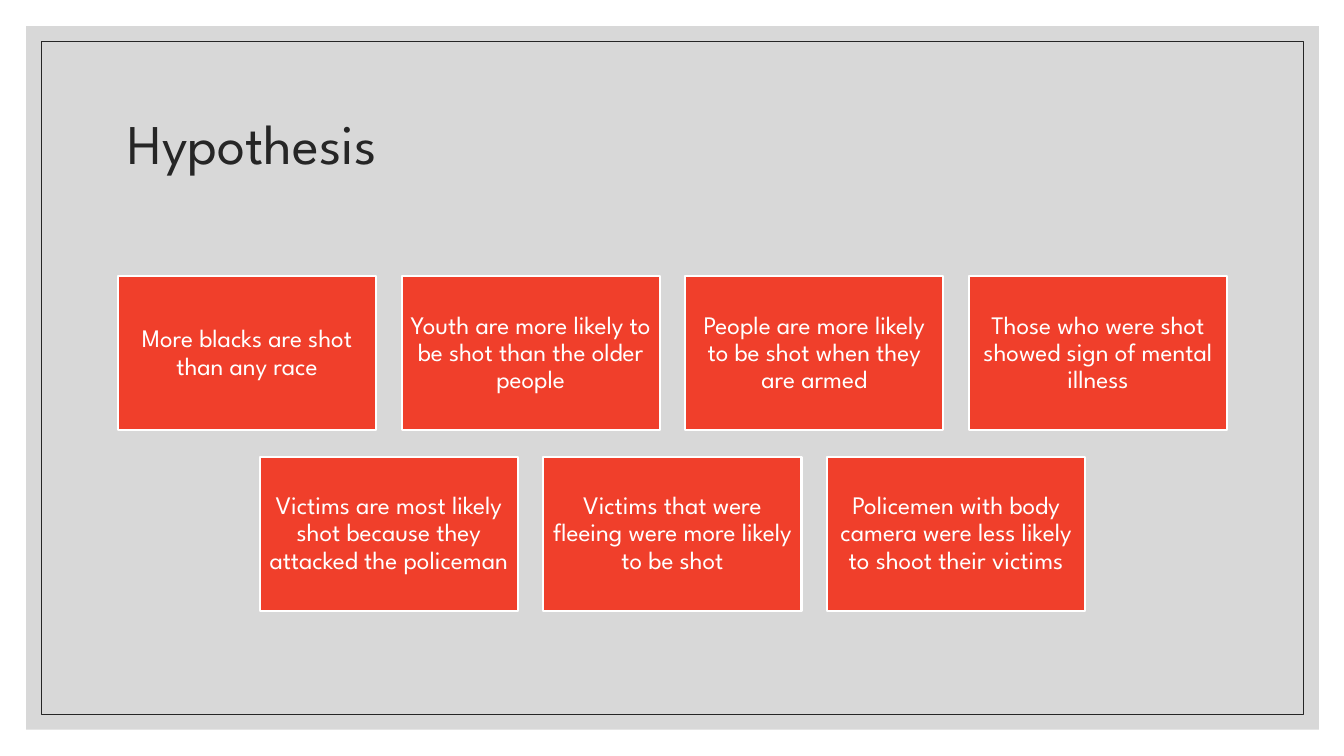
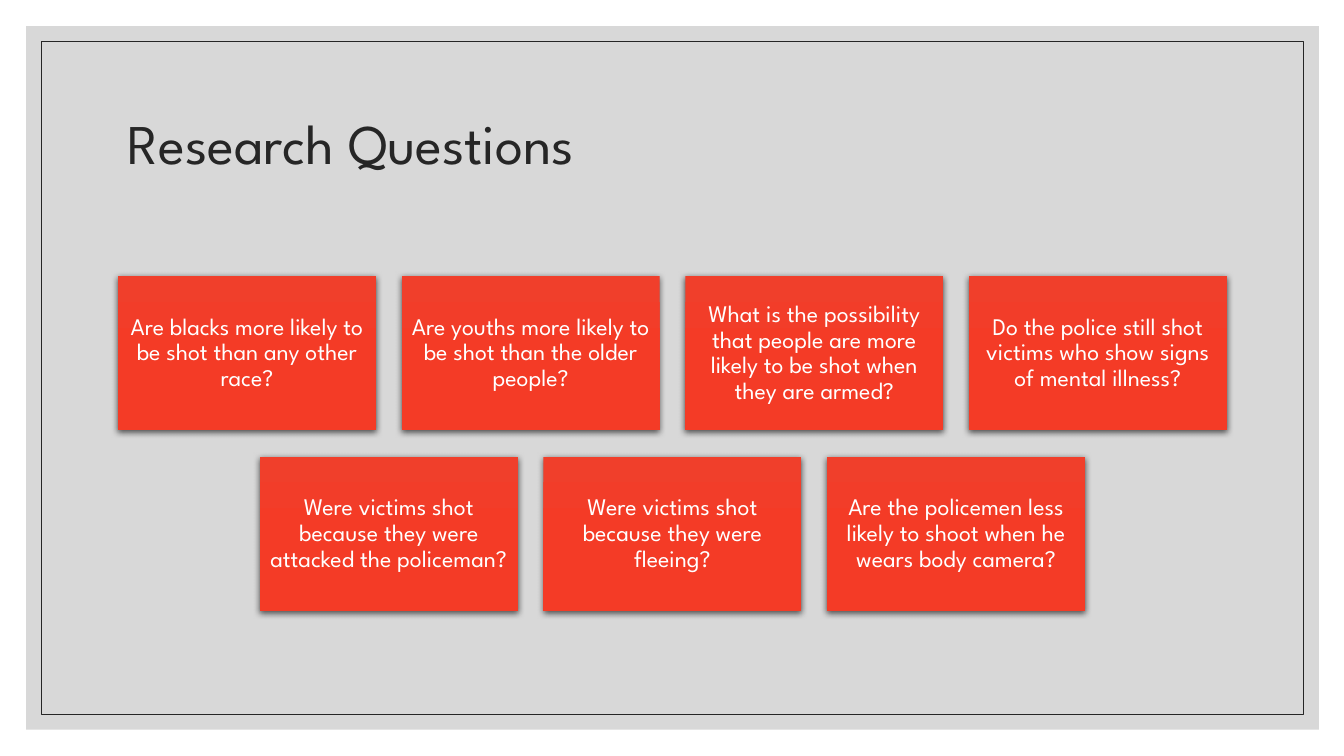
from copy import deepcopy
from dataclasses import dataclass

from lxml.etree import SubElement
from pptx import Presentation
from pptx.dml.color import RGBColor
from pptx.enum.shapes import MSO_SHAPE
from pptx.enum.text import MSO_ANCHOR, PP_ALIGN
from pptx.oxml.ns import qn
from pptx.util import Inches, Pt

FONT = "League Spartan"
INK, WHITE, PANEL, RED = "262626", "FFFFFF", "BFBFBF", "F03F2B"
RED_STOPS = ((0, RED), (0.5, "F43B26"), (1, "F33B26"))

SLIDE_WIDTH, SLIDE_HEIGHT = 13.33, 7.5
CONTENT_LEFT, CONTENT_WIDTH = 1.17, 11
CARD_WIDTH, CARD_HEIGHT, CARDS_TOP = 2.56, 1.53, 2.74
COLUMNS = 4
COLUMN_GAP = (CONTENT_WIDTH - COLUMNS * CARD_WIDTH) / (COLUMNS - 1)
ROW_GAP = 0.26


@dataclass(frozen=True)
class CardSlide:
    title: str
    cards: tuple[str, ...]
    text_size: int
    raised: bool


SLIDES = (
    CardSlide("Hypothesis", (
        "More blacks are shot than any race",
        "Youth are more likely to be shot than the older people",
        "People are more likely to be shot when they are armed",
        "Those who were shot showed sign of mental illness",
        "Victims are most likely shot because they attacked the policeman",
        "Victims that were fleeing were more likely to be shot",
        "Policemen with body camera were less likely to shoot their victims",
    ), text_size=18, raised=False),
    CardSlide("Research Questions", (
        "Are blacks more likely to be shot than any other race?",
        "Are youths more likely to be shot than the older people?",
        "What is the possibility that people are more likely to be shot when they are armed?",
        "Do the police still shot victims who show signs of mental illness?",
        "Were victims shot because they were attacked the policeman?",
        "Were victims shot because they were fleeing?",
        "Are the policemen less likely to shoot when he wears body camera?",
    ), text_size=17, raised=True),
)


def color(value: str) -> RGBColor:
    return RGBColor.from_string(value)


def write_text(shape, text: str, *, size: float, hex_color: str, align=PP_ALIGN.LEFT,
               inset: float | None = None) -> None:
    frame = shape.text_frame
    frame.word_wrap = True
    frame.vertical_anchor = MSO_ANCHOR.MIDDLE
    if inset is not None:
        frame.margin_left = frame.margin_right = Inches(inset)
        frame.margin_top = frame.margin_bottom = Inches(inset)
    paragraph = frame.paragraphs[0]
    paragraph.alignment = align
    paragraph.line_spacing = 0.9
    run = paragraph.add_run()
    run.text = text
    run.font.name = FONT
    run.font.size = Pt(size)
    run.font.color.rgb = color(hex_color)


def add_rectangle(slide, left: float, top: float, width: float, height: float, *,
                  fill: str | None = None, line: str | None = None, line_width: float = 1):
    shape = slide.shapes.add_shape(
        MSO_SHAPE.RECTANGLE, Inches(left), Inches(top), Inches(width), Inches(height))
    shape.shadow.inherit = False
    if fill:
        shape.fill.solid()
        shape.fill.fore_color.rgb = color(fill)
    else:
        shape.fill.background()
    if line:
        shape.line.color.rgb = color(line)
        shape.line.width = Pt(line_width)
    else:
        shape.line.fill.background()
    return shape


def set_opacity(shape, percent: int) -> None:
    fill_color = shape._element.spPr.find(qn("a:solidFill"))[0]
    SubElement(fill_color, qn("a:alpha"), val=str(percent * 1000))


def raise_card(shape) -> None:
    # Vertical gradient, read from top to bottom
    shape.fill.gradient()
    shape.fill.gradient_angle = 270
    properties = shape._element.spPr
    stop_list = properties.find(qn("a:gradFill")).find(qn("a:gsLst"))
    stop_list.append(deepcopy(stop_list[-1]))
    for stop, (position, value) in zip(shape.fill.gradient_stops, RED_STOPS):
        stop.position = position
        stop.color.rgb = color(value)
    # Soft shadow below
    shadow = SubElement(
        properties.find(qn("a:effectLst")), qn("a:outerShdw"), blurRad=str(Pt(4.5)),
        dist=str(Pt(1.5)), dir="5400000", algn="ctr", rotWithShape="0")
    shadow_color = SubElement(shadow, qn("a:srgbClr"), val="000000")
    SubElement(shadow_color, qn("a:alpha"), val="63000")


def add_frame(slide) -> None:
    panel = add_rectangle(slide, 0.26, 0.26, 12.82, 6.98, fill=PANEL)
    set_opacity(panel, 60)
    add_rectangle(slide, 0.41, 0.41, 12.52, 6.68, line=INK, line_width=0.5)


def add_title(slide, title: str) -> None:
    box = slide.shapes.add_textbox(
        Inches(CONTENT_LEFT), Inches(0.7), Inches(CONTENT_WIDTH), Inches(1.5))
    write_text(box, title, size=40, hex_color=INK)


def add_cards(slide, content: CardSlide) -> None:
    for start in range(0, len(content.cards), COLUMNS):
        row = content.cards[start:start + COLUMNS]
        # Each row is centred within the content width
        row_width = len(row) * (CARD_WIDTH + COLUMN_GAP) - COLUMN_GAP
        row_left = CONTENT_LEFT + (CONTENT_WIDTH - row_width) / 2
        top = CARDS_TOP + start // COLUMNS * (CARD_HEIGHT + ROW_GAP)
        for column, text in enumerate(row):
            left = row_left + column * (CARD_WIDTH + COLUMN_GAP)
            card = add_rectangle(
                slide, left, top, CARD_WIDTH, CARD_HEIGHT, fill=RED,
                line=None if content.raised else WHITE, line_width=1.5)
            if content.raised:
                raise_card(card)
            write_text(card, text, size=content.text_size, hex_color=WHITE,
                       align=PP_ALIGN.CENTER, inset=0.07)


def main() -> None:
    presentation = Presentation()
    presentation.slide_width = Inches(SLIDE_WIDTH)
    presentation.slide_height = Inches(SLIDE_HEIGHT)
    for content in SLIDES:
        slide = presentation.slides.add_slide(presentation.slide_layouts[6])
        add_frame(slide)
        add_title(slide, content.title)
        add_cards(slide, content)
    presentation.save("out.pptx")


if __name__ == "__main__":
    main()
